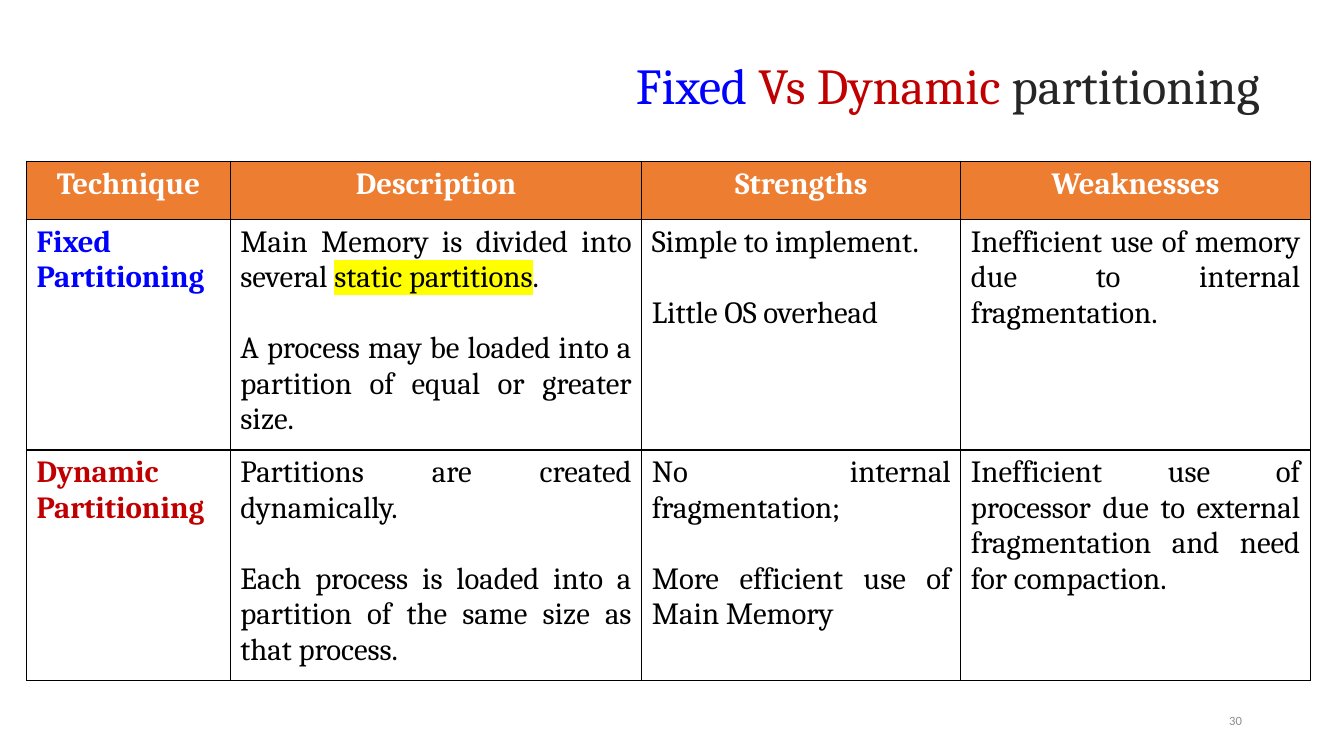
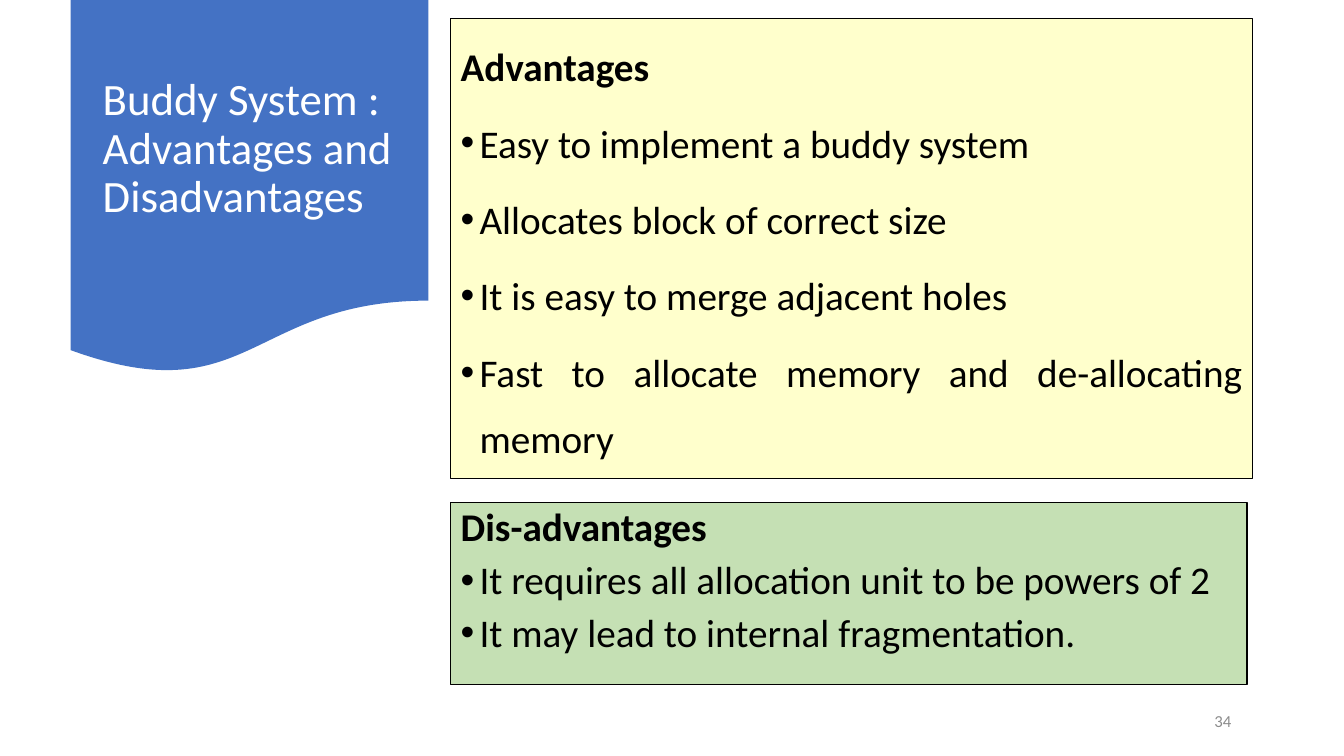
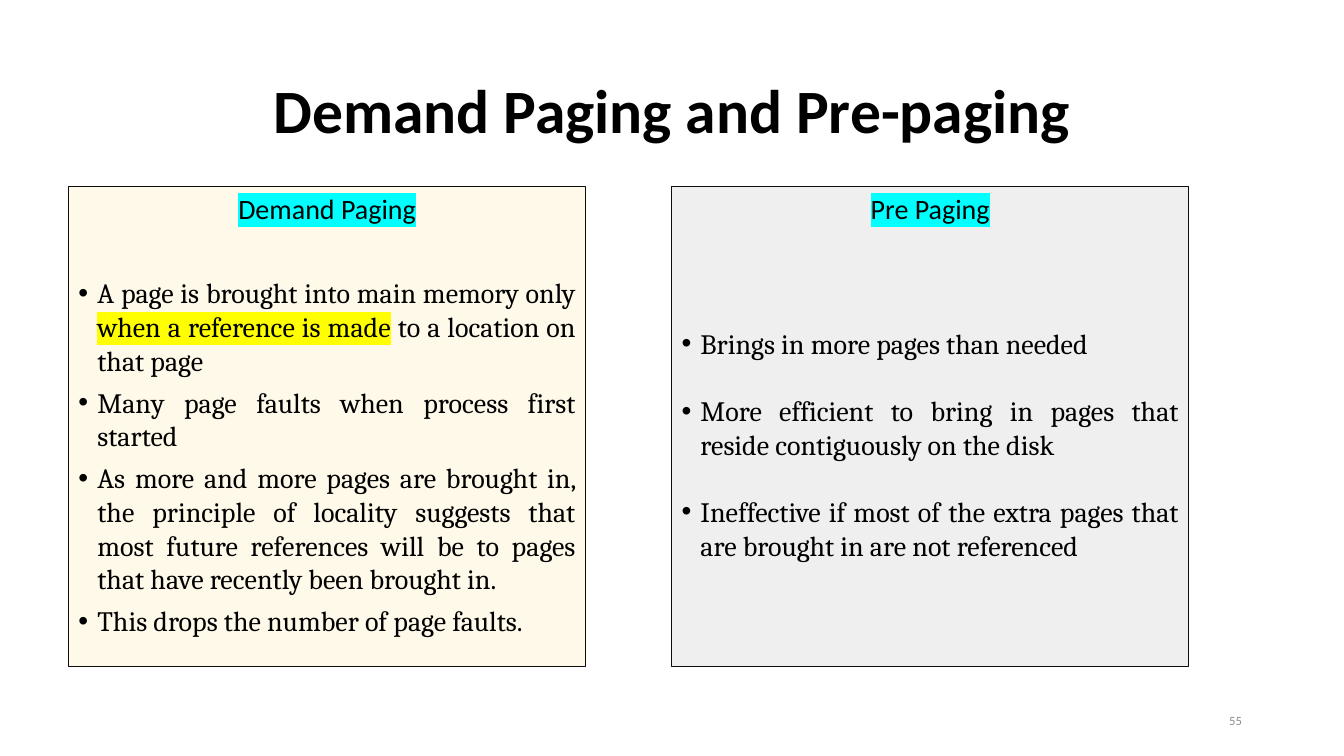
from dataclasses import dataclass

from lxml.etree import SubElement
from pptx import Presentation
from pptx.dml.color import RGBColor
from pptx.enum.shapes import MSO_SHAPE as Shape
from pptx.enum.text import MSO_ANCHOR as Anchor, MSO_AUTO_SIZE as AutoSize, PP_ALIGN as Align
from pptx.oxml.ns import qn
from pptx.util import Pt


@dataclass(frozen=True)
class Theme:
    serif: str = "Cambria"
    sans: str = "Calibri"
    black: str = "000000"
    white: str = "FFFFFF"
    ink: str = "262626"
    edge: str = "0D0D0D"
    grey: str = "8C8C8C"
    blue: str = "0000FF"
    red: str = "C00000"
    orange: str = "ED7D31"
    band: str = "4472C4"
    cream: str = "FFFFCC"
    green: str = "C5E0B4"
    sand: str = "FFF2CC"
    silver: str = "D9D9D9"
    yellow: str = "FFFF00"
    cyan: str = "00FFFF"
    huge: float = 44
    title: float = 36
    side_title: float = 32
    point: float = 28
    cell: float = 22
    panel: float = 20
    number: float = 12
    small_number: float = 9
    indent: float = 13.5
    hairline: float = 0.75
    blank_line: float = 25.4


T = Theme()


def rgb(value):
    return RGBColor.from_string(value)


def apply(target, values):
    for name, value in values.items():
        setattr(target, name, value)


def place(s, box):
    apply(s, dict(zip(("left", "top", "width", "height"), map(Pt, box))))


def add_run(p, text, size, font, color, bold=False, mark=None):
    r = p.add_run()
    r.text = text
    apply(r.font, {"size": Pt(size), "name": font, "bold": bold})
    r.font.color.rgb = rgb(color)
    if mark:
        fill = r._r.get_or_add_rPr().find(qn("a:solidFill"))
        highlight = fill.makeelement(qn("a:highlight"))
        SubElement(highlight, qn("a:srgbClr"), val=mark)
        fill.addnext(highlight)


def add_bullet(p):
    pPr = p._p.get_or_add_pPr()
    pPr.set("marL", str(Pt(T.indent)))
    pPr.set("indent", str(Pt(-T.indent)))
    SubElement(pPr, qn("a:buFont"), typeface="Arial")
    SubElement(pPr, qn("a:buChar"), char="•")


def write(tf, paragraphs, base, bullet=False, **layout):
    for text in paragraphs:
        p = tf.paragraphs[0]
        first = not p.runs
        if not first:
            p = tf.add_paragraph()
        if bullet:
            add_bullet(p)
        values = {k: v for k, v in layout.items() if not (first and k == "space_before")}
        apply(p, values)
        for run in [text] if isinstance(text, str) else text:
            words, changes = (run, {}) if isinstance(run, str) else run
            add_run(p, words, **{**base, **changes})


def add_slide(prs, title, box, base, align):
    s = prs.slides.add_slide(prs.slide_layouts[5])
    sp = s.shapes.title
    place(sp, box)
    apply(sp.text_frame, {"word_wrap": True, "auto_size": AutoSize.NONE,
                          "vertical_anchor": Anchor.MIDDLE})
    write(sp.text_frame, [title], base, alignment=align, line_spacing=0.9)
    return s


def add_number(s, text, box=(678.2, 500.4, 216, 28.8), size=T.small_number, align=Align.RIGHT):
    sp = s.shapes.add_textbox(*map(Pt, box))
    apply(sp.text_frame, {"word_wrap": True, "vertical_anchor": Anchor.MIDDLE})
    write(sp.text_frame, [text], dict(size=size, font=T.sans, color=T.grey), alignment=align)


def add_box(s, box, fill, line=None, alpha=None, shape=Shape.RECTANGLE):
    sp = s.shapes.add_shape(shape, *map(Pt, box))
    sp.shadow.inherit = False
    sp.fill.solid()
    sp.fill.fore_color.rgb = rgb(fill)
    if alpha:
        color = sp._element.spPr.find(qn("a:solidFill"))[0]
        SubElement(color, qn("a:alpha"), val=str(alpha * 1000))
    if line:
        sp.line.color.rgb = rgb(line)
        sp.line.width = Pt(T.hairline)
    else:
        sp.line.fill.background()
    apply(sp.text_frame, {"word_wrap": True, "vertical_anchor": Anchor.TOP})
    return sp


def style_cell(cell, fill):
    tcPr = cell._tc.get_or_add_tcPr()
    for side in ("lnL", "lnR", "lnT", "lnB"):
        line = SubElement(tcPr, qn(f"a:{side}"), w=str(Pt(1)))
        SubElement(SubElement(line, qn("a:solidFill")), qn("a:srgbClr"), val=T.black)
    cell.fill.solid()
    cell.fill.fore_color.rgb = rgb(fill)


def comparison_table(s, box, widths, heights, header, rows):
    table = s.shapes.add_table(len(rows) + 1, len(header), *map(Pt, box)).table
    for col, width in zip(table.columns, widths):
        col.width = Pt(width)
    for row, height in zip(table.rows, heights):
        row.height = Pt(height)
    base = dict(size=T.cell, font=T.serif, color=T.black)
    for i, texts in enumerate([header, *rows]):
        for j, paragraphs in enumerate(texts):
            cell = table.cell(i, j)
            style_cell(cell, T.white if i else T.orange)
            if i:
                write(cell.text_frame, paragraphs, base, alignment=Align.JUSTIFY,
                      space_before=Pt(T.blank_line))
            else:
                write(cell.text_frame, [paragraphs], {**base, "color": T.white, "bold": True},
                      alignment=Align.CENTER)


def point_list(s, box, fill, heading, points, spacing):
    tf = add_box(s, box, fill, T.black).text_frame
    base = dict(size=T.point, font=T.sans, color=T.black)
    layout = dict(alignment=Align.JUSTIFY, line_spacing=spacing, space_before=Pt(7.5))
    write(tf, [heading], {**base, "bold": True}, **layout)
    write(tf, points, base, bullet=True, **layout)


def paging_panel(s, box, fill, heading, points, gap):
    tf = add_box(s, box, fill, T.edge, alpha=40).text_frame
    base = dict(size=T.panel, font=T.sans, color=T.black)
    write(tf, [heading], {**base, "mark": T.cyan}, alignment=Align.CENTER,
          space_after=Pt(gap + 24.4))
    write(tf, points, {**base, "font": T.serif}, bullet=True, alignment=Align.JUSTIFY,
          space_before=Pt(gap))


def partitioning_slide(prs):
    title = [("Fixed", {"color": T.blue}), (" Vs Dynamic ", {"color": T.red}), "partitioning"]
    s = add_slide(prs, title, (427, 10.8, 480, 104.4),
                  dict(size=T.title, font=T.serif, color=T.ink), Align.RIGHT)
    add_number(s, "30")
    rows = [
        [[[("Fixed Partitioning", {"color": T.blue, "bold": True})]],
         [["Main Memory is divided into several ",
           ("static partitions", {"mark": T.yellow}), "."],
          "A process may be loaded into a partition of equal or greater size."],
         ["Simple to implement.", "Little OS overhead"],
         ["Inefficient use of memory due to internal fragmentation."]],
        [[[("Dynamic Partitioning", {"color": T.red, "bold": True})]],
         ["Partitions are created dynamically.",
          "Each process is loaded into a partition of the same size as that process."],
         ["No internal fragmentation;", "More efficient use of Main Memory"],
         ["Inefficient use of processor due to external fragmentation and need for compaction."]],
    ]
    comparison_table(s, (19, 115.2, 917, 360), (145.6, 293.8, 228, 249.6), (41.6, 159.2, 159.2),
                     ["Technique", "Description", "Strengths", "Weaknesses"], rows)


def buddy_slide(prs):
    s = add_slide(prs, "Buddy System : Advantages and Disadvantages",
                  (66.2, 13.7, 224, 186.5),
                  dict(size=T.side_title, font=T.sans, color=T.white), Align.LEFT)
    band = add_box(s, (50.4, 0, 255.6, 267.8), T.band, shape=Shape.FLOWCHART_DOCUMENT)
    s.shapes.title._element.addprevious(band._element)
    left = 322
    point_list(s, (left, 359.3, 568.8, 129.6), T.green, "Dis-advantages",
               ["It requires all allocation unit to be powers of 2",
                "It may lead to internal fragmentation."], 0.9)
    point_list(s, (left, 13.4, 572.4, 328.3), T.cream, "Advantages",
               ["Easy to implement a buddy system",
                "Allocates block of correct size",
                "It is easy to merge adjacent holes",
                "Fast to allocate memory and de-allocating memory"], 1.4)
    add_number(s, "34", (860.4, 500.4, 49, 28.8), T.number, Align.LEFT)


def paging_slide(prs):
    s = add_slide(prs, "Demand Paging and Pre-paging", (66.2, 28.8, 828, 104.4),
                  dict(size=T.huge, font=T.sans, color=T.black, bold=True), Align.CENTER)
    add_number(s, "55")
    panels = [
        (T.sand, "Demand Paging",
         [["A page is brought into main memory only ",
           ("when a reference is made", {"mark": T.yellow}), " to a location on that page"],
          "Many page faults when process first started",
          "As more and more pages are brought in, the principle of locality suggests that most "
          "future references will be to pages that have recently been brought in.",
          "This drops the number of page faults."], 6),
        (T.silver, "Pre Paging",
         ["Brings in more pages than needed",
          "More efficient to bring in pages that reside contiguously on the disk",
          "Ineffective if most of the extra pages that are brought in are not referenced"], 24),
    ]
    left, top, width, height, gutter = 49, 133.2, 369.4, 342.7, 61.4
    for i, panel in enumerate(panels):
        paging_panel(s, (left + i * (width + gutter), top, width, height), *panel)


def main():
    prs = Presentation()
    apply(prs, {"slide_width": Pt(960), "slide_height": Pt(540)})
    for build in (partitioning_slide, buddy_slide, paging_slide):
        build(prs)
    prs.save("out.pptx")


if __name__ == "__main__":
    main()
